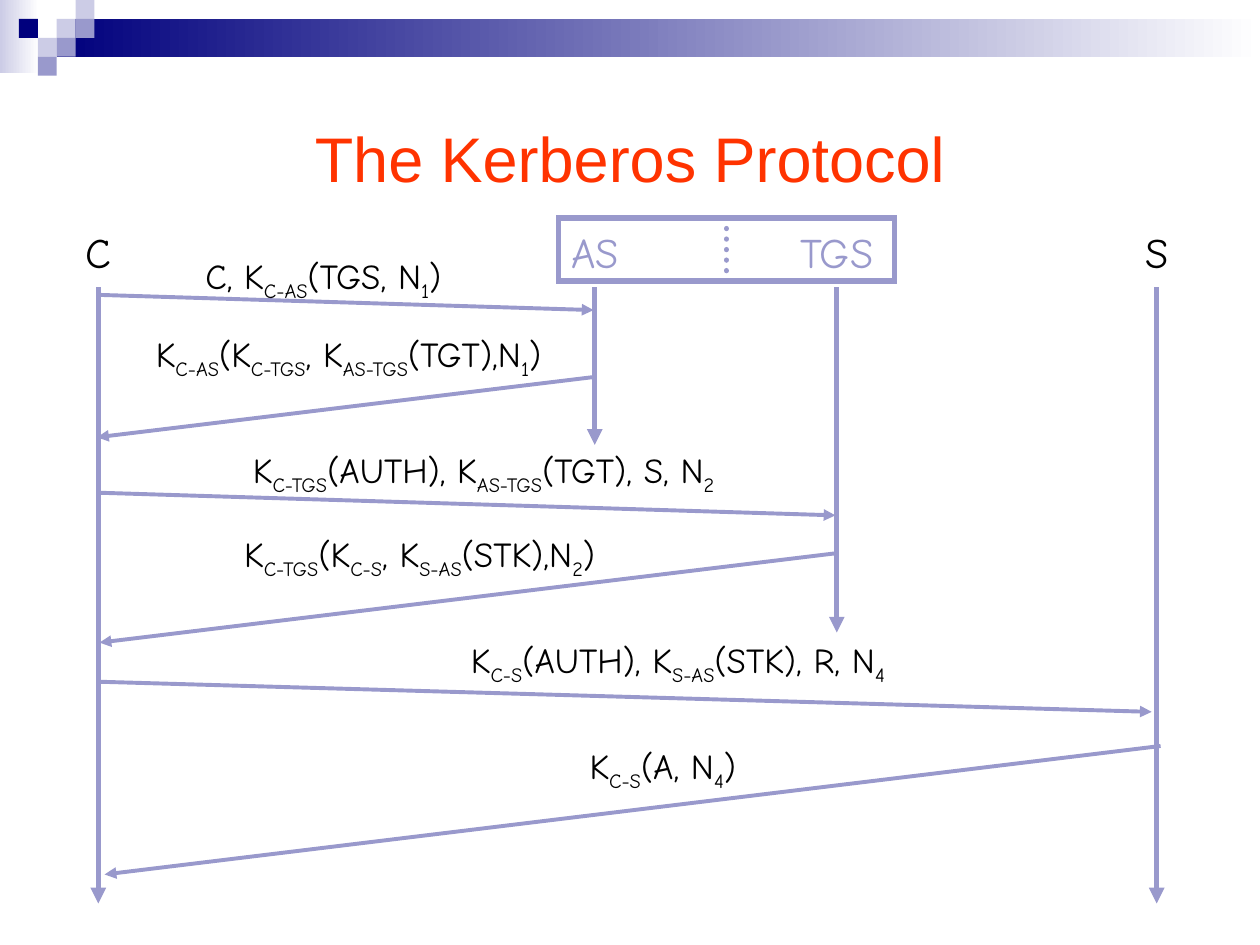
from dataclasses import dataclass

import pptx
import pptx.util
from lxml import etree
from pptx.dml.color import RGBColor
from pptx.enum.dml import MSO_LINE
from pptx.enum.shapes import MSO_CONNECTOR, MSO_SHAPE
from pptx.enum.text import MSO_ANCHOR, MSO_AUTO_SIZE, PP_ALIGN
from pptx.oxml.ns import qn

Pt = pptx.util.Pt


@dataclass(frozen=True)
class Theme:
    white: str = "FFFFFF"
    black: str = "000000"
    navy: str = "00007D"
    violet: str = "9999CC"
    lavender: str = "CCCCE6"
    red: str = "FF3300"
    title_font: str = "Arial"
    label_font: str = "Comic Neue"
    title_size: float = 36
    participant_size: float = 24
    message_size: float = 20
    thick: float = 3
    thin: float = 2.25


@dataclass(frozen=True)
class Box:
    left: float
    top: float
    width: float
    height: float

    def inner(self, left, top, width, height):
        return Box(self.left + left, self.top + top, width, height)

    def lengths(self):
        return Pt(self.left), Pt(self.top), Pt(self.width), Pt(self.height)


THEME = Theme()

# Name, distance from the first lifeline, lifeline end, label width, colour
PARTICIPANTS = [
    ("C", 0, 391.7, 28.8, THEME.black),
    ("AS", 283.7, 129.6, 41.8, THEME.violet),
    ("TGS", 422, 236.9, 56.9, THEME.violet),
    ("S", 604.8, 391.7, 27.4, THEME.black),
]

# Text with subscripts between bars, label (left, top, width), arrow start, arrow end
MESSAGES = [
    ("C, K|C-AS|(TGS, N|1|)", (53.3, 17.3, 150.5), (0, 43.9), (283, 52.6)),
    ("K|C-AS|(K|C-TGS|, K|AS-TGS|(TGT),N|1|)", (23.8, 61.9, 238.3), (284.4, 90.7), (-0.7, 125.3)),
    ("K|C-TGS|(AUTH), K|AS-TGS|(TGT), S, N|2", (79.2, 128.2, 282), (1.4, 157), (421.2, 169.9)),
    ("K|C-TGS|(K|C-S|, K|S-AS|(STK),N|2|)", (75.6, 176.4, 216), (422, 191.5), (0.7, 242.6)),
    ("K|C-S|(AUTH), K|S-AS|(STK), R, N|4", (204.7, 236.9, 253), (1.4, 265), (601.9, 282.2)),
    ("K|C-S|(A, N|4|)", (273.6, 297.4, 97.9), (607, 301.7), (3.6, 375.1)),
]


def color(value):
    return RGBColor.from_string(value)


def add_rectangle(slide, box):
    shape = slide.shapes.add_shape(MSO_SHAPE.RECTANGLE, *box.lengths())
    shape.shadow.inherit = False
    shape.fill.background()
    shape.line.fill.background()
    return shape


def add_square(slide, box, fill):
    shape = add_rectangle(slide, box)
    shape.fill.solid()
    shape.fill.fore_color.rgb = color(fill)


def add_gradient(slide, box, start, end):
    """Add a band that fades from start at the left to end at the right."""
    shape = add_rectangle(slide, box)
    shape.fill.gradient()
    shape.fill.gradient_angle = 0
    for stop, value in zip(shape.fill.gradient_stops, (start, end)):
        stop.color.rgb = color(value)


def add_line(slide, box, start, end, width, arrow=True):
    connector = slide.shapes.add_connector(
        MSO_CONNECTOR.STRAIGHT,
        Pt(box.left + start[0]), Pt(box.top + start[1]),
        Pt(box.left + end[0]), Pt(box.top + end[1]),
    )
    connector.line.color.rgb = color(THEME.violet)
    connector.line.width = Pt(width)
    if arrow:
        etree.SubElement(connector.line._get_or_add_ln(), qn("a:tailEnd"), type="triangle")
    etree.SubElement(connector._element.spPr, qn("a:effectLst"))
    return connector


def add_text(slide, box, text, font, size, text_color, wrap=False):
    """Add centred text; every second part between bars is a subscript."""
    text_box = slide.shapes.add_textbox(*box.lengths())
    frame = text_box.text_frame
    frame.word_wrap = wrap
    frame.auto_size = MSO_AUTO_SIZE.NONE if wrap else MSO_AUTO_SIZE.SHAPE_TO_FIT_TEXT
    paragraph = frame.paragraphs[0]
    paragraph.alignment = PP_ALIGN.CENTER
    paragraph.font.name = font
    paragraph.font.size = Pt(size)
    paragraph.font.color.rgb = color(text_color)
    for index, part in enumerate(text.split("|")):
        run = paragraph.add_run()
        run.text = part
        if index % 2:
            run.font._element.set("baseline", "-25000")
    return text_box


def add_banner(slide, box):
    side = 10.8
    add_gradient(slide, box.inner(0, 0, 22.3, 41.8), THEME.lavender, THEME.white)
    add_gradient(slide, box.inner(3 * side, side, box.width - 3 * side, 21.6),
                 THEME.navy, THEME.white)
    squares = [
        (3, 1, THEME.lavender), (4, 0, THEME.lavender), (4, 1, THEME.violet),
        (2, 2, THEME.lavender), (1, 1, THEME.navy), (3, 2, THEME.violet),
        (2, 3, THEME.violet),
    ]
    for column, row, fill in squares:
        add_square(slide, box.inner(column * side, row * side, side, side), fill)


def add_title(slide, box):
    title = add_text(slide, box, "The Kerberos Protocol", THEME.title_font,
                     THEME.title_size, THEME.red, wrap=True)
    title.text_frame.vertical_anchor = MSO_ANCHOR.MIDDLE


def add_server(slide, box):
    """Add the frame around AS and TGS with its dotted divider."""
    frame = add_rectangle(slide, box)
    frame.line.color.rgb = color(THEME.violet)
    frame.line.width = Pt(THEME.thick)
    etree.SubElement(frame.line._get_or_add_ln(), qn("a:miter"), lim="800000")
    middle = box.width / 2
    divider = add_line(slide, box, (middle, 0), (middle, box.height), THEME.thick, arrow=False)
    divider.line.dash_style = MSO_LINE.ROUND_DOT
    divider.line._get_or_add_ln().set("cap", "rnd")
    divider.begin_connect(frame, 0)
    divider.end_connect(frame, 2)


def add_sequence(slide, box):
    """Add the sequence diagram; the first lifeline runs along the box's left side."""
    for name, x, end, width, text_color in PARTICIPANTS:
        add_line(slide, box, (x, 39.6), (x, end), THEME.thick)
        add_text(slide, box.inner(x - width / 2, 1.4, width, 36), name,
                 THEME.label_font, THEME.participant_size, text_color)
    add_server(slide, box.inner(262.8, 0, 192.2, 36))
    for text, (left, top, width), start, end in MESSAGES:
        add_line(slide, box, start, end, THEME.thin)
        add_text(slide, box.inner(left, top, width, 34.6), text,
                 THEME.label_font, THEME.message_size, THEME.black)


def main():
    presentation = pptx.Presentation()
    presentation.slide_width = Pt(720)
    presentation.slide_height = Pt(540)
    slide = presentation.slides.add_slide(presentation.slide_layouts[6])
    add_banner(slide, Box(0, 0, 720, 43.2))
    add_title(slide, Box(36, 36, 648, 108))
    add_sequence(slide, Box(56.2, 124.6, 604.8, 391.7))
    presentation.save("out.pptx")


if __name__ == "__main__":
    main()
